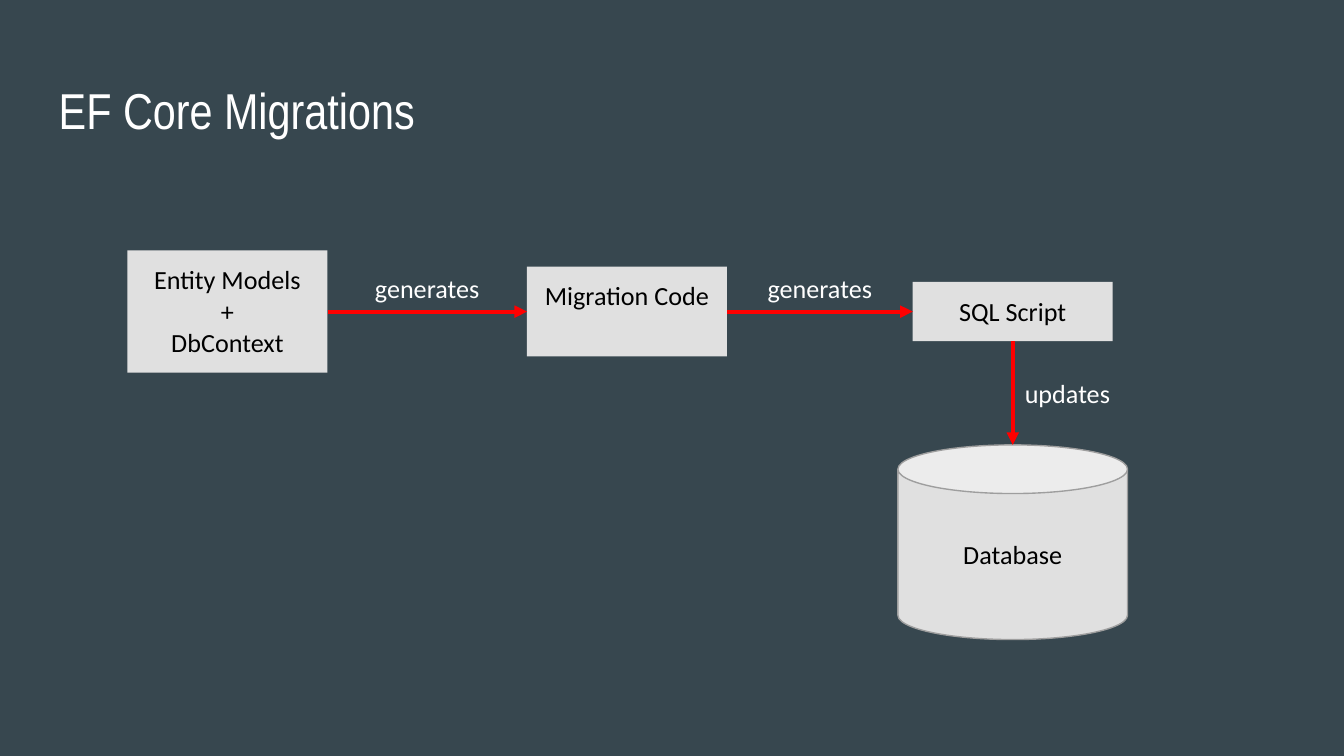
import pptx
import pptx.dml.color
import pptx.enum.shapes
import pptx.enum.text
import pptx.oxml
import pptx.oxml.ns
import pptx.util
from pptx.util import Cm

RGBColor = pptx.dml.color.RGBColor
BACKGROUND = RGBColor(0x37, 0x47, 0x4F)
BOX_FILL = RGBColor(0xE0, 0xE0, 0xE0)
OUTLINE = RGBColor(0x9E, 0x9E, 0x9E)
ARROW = RGBColor(0xFF, 0x00, 0x00)
WHITE = RGBColor(0xFF, 0xFF, 0xFF)
BLACK = RGBColor(0x00, 0x00, 0x00)

MSO_SHAPE = pptx.enum.shapes.MSO_SHAPE
ANCHOR = pptx.enum.text.MSO_ANCHOR
ALIGN = pptx.enum.text.PP_ALIGN


def write_text(shape, lines, size, font, color, align, anchor=ANCHOR.TOP):
    frame = shape.text_frame
    frame.word_wrap = True
    frame.auto_size = pptx.enum.text.MSO_AUTO_SIZE.NONE
    frame.vertical_anchor = anchor
    frame.margin_left = frame.margin_right = Cm(0.25)
    frame.margin_top = frame.margin_bottom = Cm(0.25)
    paragraph = frame.paragraphs[0]
    paragraph.alignment = align
    for index, line in enumerate(lines):
        if index:
            paragraph.add_line_break()
        run = paragraph.add_run()
        run.text = line
        run.font.size = pptx.util.Pt(size)
        run.font.name = font
        run.font.color.rgb = color


def add_arrow(slide, start_x, start_y, end_x, end_y):
    connector = slide.shapes.add_connector(
        pptx.enum.shapes.MSO_CONNECTOR.STRAIGHT, start_x, start_y, end_x, end_y)
    connector.line.color.rgb = ARROW
    connector.line.width = pptx.util.Pt(2.25)
    properties = connector._element.spPr
    line = properties.find(pptx.oxml.ns.qn("a:ln"))
    namespace = pptx.oxml.ns.nsdecls("a")
    line.append(pptx.oxml.parse_xml(f'<a:tailEnd {namespace} type="triangle"/>'))
    properties.append(pptx.oxml.parse_xml(f"<a:effectLst {namespace}/>"))
    return connector


presentation = pptx.Presentation()
presentation.slide_width = Cm(25.4)
presentation.slide_height = Cm(14.29)
slide = presentation.slides.add_slide(presentation.slide_layouts[5])
slide.background.fill.solid()
slide.background.fill.fore_color.rgb = BACKGROUND

# Title
title = slide.shapes.title
title.left, title.top, title.width, title.height = Cm(0.86), Cm(1.24), Cm(23.67), Cm(1.6)
write_text(title, ["EF Core Migrations"], 27, "Arial Narrow", WHITE, ALIGN.LEFT)

# Steps, centred on one row
row_center = Cm(5.89)
boxes = []
for left, height, lines in [
    (2.41, 2.31, ["Entity Models", "+", "DbContext"]),
    (9.96, 1.7, ["Migration Code"]),
    (17.25, 1.12, ["SQL Script"]),
]:
    box = slide.shapes.add_shape(
        MSO_SHAPE.RECTANGLE, Cm(left), row_center - Cm(height) // 2, Cm(3.78), Cm(height))
    box.shadow.inherit = False
    box.fill.solid()
    box.fill.fore_color.rgb = BOX_FILL
    box.line.fill.background()
    write_text(box, lines, 14, "Calibri", BLACK, ALIGN.CENTER)
    boxes.append(box)

# Database, centred below the last step
script_box = boxes[-1]
script_center = script_box.left + script_box.width // 2
database = slide.shapes.add_shape(
    MSO_SHAPE.CAN, script_center - Cm(4.34) // 2, Cm(8.41), Cm(4.34), Cm(3.68))
database.adjustments[0] = 0.25
database.shadow.inherit = False
database.fill.solid()
database.fill.fore_color.rgb = BOX_FILL
database.line.color.rgb = OUTLINE
database.line.width = pptx.util.Pt(0.75)
write_text(database, ["Database"], 14, "Calibri", BLACK, ALIGN.CENTER, ANCHOR.MIDDLE)

# Arrows, with label positions taken from the gaps between steps
label_width, label_height = Cm(2.61), Cm(1.12)
labels = [("updates", Cm(18.87), Cm(6.88))]
for source, target in zip(boxes, boxes[1:]):
    source_right = source.left + source.width
    arrow = add_arrow(slide, source_right, row_center, target.left, row_center)
    arrow.begin_connect(source, 3)
    arrow.end_connect(target, 1)
    gap_center = (source_right + target.left) // 2
    labels.append(("generates", gap_center - label_width // 2, Cm(4.9)))

update_arrow = add_arrow(
    slide, script_center, script_box.top + script_box.height, script_center, database.top)
update_arrow.begin_connect(script_box, 2)

# Arrow labels
for text, left, top in labels:
    label = slide.shapes.add_textbox(left, top, label_width, label_height)
    write_text(label, [text], 14, "Calibri", WHITE, ALIGN.CENTER)

presentation.save("out.pptx")
